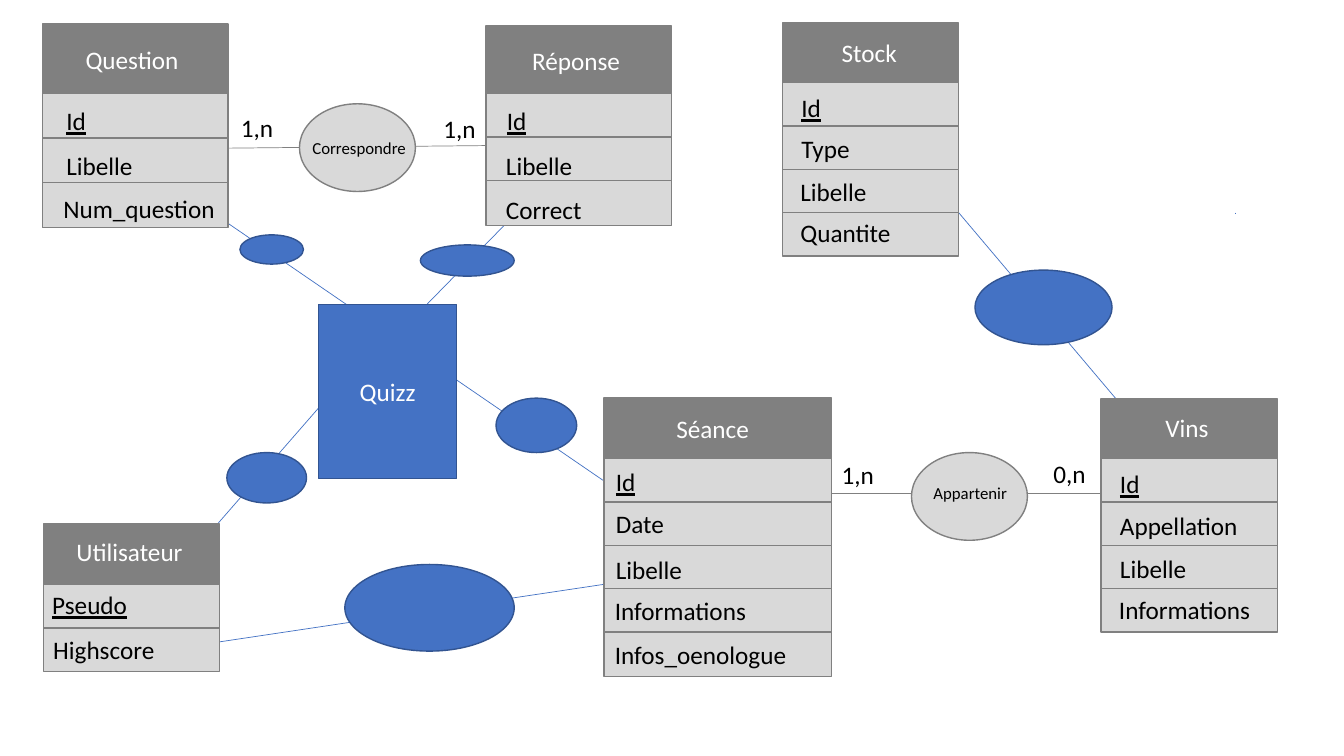
"""Build a data-model slide of quiz, tasting session and wine stock entities."""
from dataclasses import dataclass
from typing import NamedTuple

from lxml import etree
from pptx import Presentation
from pptx import util as u
from pptx.dml.color import RGBColor
from pptx.enum import shapes, text
from pptx.oxml import ns


@dataclass(frozen=True)
class Theme:
    font: str = "Calibri"
    body: int = 18
    small: int = 12
    grey: str = "808080"
    pale: str = "D9D9D9"
    blue: str = "4472C4"
    navy: str = "325491"
    white: str = "FFFFFF"
    black: str = "000000"
    outline: float = 1
    link: float = 0.5


THEME = Theme()


class Box(NamedTuple):
    left: float
    top: float
    width: float
    height: float


class Label(NamedTuple):
    words: str
    left: float
    top: float
    width: float = 2.1
    size: int = THEME.body


class Link(NamedTuple):
    start: tuple[float, float]
    end: tuple[float, float]
    color: str = THEME.blue


@dataclass(frozen=True)
class Entity:
    left: float
    top: float
    width: float
    first_row: float
    row_height: float
    pitch: float
    title: Label
    attributes: list[Label]


ENTITIES = [
    Entity(0.42, 0.24, 1.84, 0.93, 0.45, 0.44, Label("Question", 0.75, 0.39), [
        Label("Id", 0.56, 1), Label("Libelle", 0.56, 1.44), Label("Num_question", 0.53, 1.87)]),
    Entity(4.82, 0.26, 1.84, 0.93, 0.45, 0.43, Label("Réponse", 5.18, 0.4), [
        Label("Id", 4.93, 1), Label("Libelle", 4.92, 1.44), Label("Correct", 4.92, 1.88)]),
    Entity(7.76, 0.23, 1.75, 0.82, 0.43, 0.43, Label("Stock", 8.25, 0.32), [
        Label("Id", 7.85, 0.87), Label("Type", 7.85, 1.27),
        Label("Libelle", 7.84, 1.7), Label("Quantite", 7.84, 2.11)]),
    Entity(5.99, 3.95, 2.26, 4.55, 0.44, 0.43, Label("Séance", 6.61, 4.05), [
        Label("Id", 6.01, 4.58), Label("Date", 6.01, 4.99), Label("Libelle", 6.01, 5.45),
        Label("Informations", 6, 5.86), Label("Infos_oenologue", 6, 6.29)]),
    Entity(10.92, 3.96, 1.75, 4.55, 0.43, 0.43, Label("Vins", 11.46, 4.04), [
        Label("Id", 11.01, 4.6), Label("Appellation", 11.01, 5.01),
        Label("Libelle", 11.01, 5.44), Label("Informations", 11, 5.85)]),
    Entity(0.43, 5.2, 1.75, 5.8, 0.43, 0.43, Label("Utilisateur", 0.66, 5.27), [
        Label("Pseudo", 0.42, 5.8), Label("Highscore", 0.43, 6.24)]),
]
LINKS = [
    Link((3.97, 3.29), (5.3, 1.93)),
    Link((9.23, 1.78), (11.46, 4.42)),
    Link((1.83, 6.42), (7.04, 5.64)),
    Link((2.06, 5.31), (3.82, 3.29)),
    Link((1.83, 1.92), (6.47, 5.1)),
    Link((12.25, 2.11), (12.25, 2.12)),
    Link((7.97, 4.89), (11.3, 4.89), THEME.grey),
    Link((2.27, 1.47), (5.25, 1.44), THEME.grey),
]
NAMED_RELATIONS = [Box(2.97, 1.03, 1.15, 0.87), Box(9.04, 4.49, 1.15, 0.87)]
UNNAMED_RELATIONS = [
    Box(3.42, 5.6, 1.68, 0.86),
    Box(9.67, 2.68, 1.36, 0.74),
    Box(2.38, 2.33, 0.63, 0.29),
    Box(4.17, 2.43, 0.93, 0.31),
    Box(2.25, 4.49, 0.79, 0.5),
    Box(4.92, 3.95, 0.8, 0.54),
]
RELATION_LABELS = [
    Label("Correspondre", 3, 1.32, 1.3, THEME.small),
    Label("Appartenir", 9.16, 4.74, 0.94, THEME.small),
    Label("1,n", 2.29, 1.07, 0.73),
    Label("1,n", 4.3, 1.08, 0.73),
    Label("1,n", 8.25, 4.51, 0.73),
    Label("0,n", 10.35, 4.5, 0.73),
]
QUIZ = Box(3.16, 3.02, 1.37, 1.73)


def add_box(slide, kind, box: Box, fill: str, line: str):
    """Add a filled and outlined preset shape."""
    shape = slide.shapes.add_shape(kind, *map(u.Inches, box))
    shape.shadow.inherit = False
    shape.fill.solid()
    shape.fill.fore_color.rgb = RGBColor.from_string(fill)
    shape.line.color.rgb = RGBColor.from_string(line)
    shape.line.width = u.Pt(THEME.outline)
    return shape


def write(shape, words: str, size: int, color: str, underline: bool = False):
    """Write one line in a shape and return its paragraph."""
    shape.text_frame.word_wrap = True
    paragraph = shape.text_frame.paragraphs[0]
    paragraph.text = words
    font = paragraph.font
    font.name, font.size = THEME.font, u.Pt(size)
    font.color.rgb = RGBColor.from_string(color)
    if underline:
        font.underline = True
        paragraph.runs[0].font.underline = True
    return paragraph


def add_label(slide, label: Label, color: str = THEME.black, underline: bool = False) -> None:
    """Add a text box for a label."""
    height = 0.1 + label.size / 60
    box = Box(label.left, label.top, label.width, height)
    shape = slide.shapes.add_textbox(*map(u.Inches, box))
    write(shape, label.words, label.size, color, underline)


def add_link(slide, link: Link) -> None:
    """Add a thin straight line without a shadow."""
    ends = map(u.Inches, (*link.start, *link.end))
    line = slide.shapes.add_connector(shapes.MSO_CONNECTOR.STRAIGHT, *ends)
    line.line.color.rgb = RGBColor.from_string(link.color)
    line.line.width = u.Pt(THEME.link)
    etree.SubElement(line._element.spPr, ns.qn("a:effectLst"))


def add_entity(slide, entity: Entity) -> None:
    """Add an entity with its title and its attributes, the key underlined."""
    rectangle = shapes.MSO_SHAPE.RECTANGLE
    row_tops = [entity.first_row + entity.pitch * i for i in range(len(entity.attributes))]
    frame = Box(entity.left, entity.top, entity.width, row_tops[-1] - entity.top)
    add_box(slide, rectangle, frame, THEME.grey, THEME.grey)
    for top in row_tops:
        row = Box(entity.left, top, entity.width, entity.row_height)
        add_box(slide, rectangle, row, THEME.pale, THEME.grey)
    add_label(slide, entity.title, THEME.white)
    for index, attribute in enumerate(entity.attributes):
        add_label(slide, attribute, underline=index == 0)


def main() -> None:
    """Draw the slide and save it."""
    presentation = Presentation()
    presentation.slide_width, presentation.slide_height = u.Inches(13.33), u.Inches(7.5)
    slide = presentation.slides.add_slide(presentation.slide_layouts[6])
    for link in LINKS:
        add_link(slide, link)
    for entity in ENTITIES:
        add_entity(slide, entity)
    for box in NAMED_RELATIONS:
        add_box(slide, shapes.MSO_SHAPE.OVAL, box, THEME.pale, THEME.grey)
    for label in RELATION_LABELS:
        add_label(slide, label)
    quiz = add_box(slide, shapes.MSO_SHAPE.RECTANGLE, QUIZ, THEME.blue, THEME.navy)
    quiz.text_frame.vertical_anchor = text.MSO_ANCHOR.MIDDLE
    write(quiz, "Quizz", THEME.body, THEME.white).alignment = text.PP_ALIGN.CENTER
    for box in UNNAMED_RELATIONS:
        add_box(slide, shapes.MSO_SHAPE.OVAL, box, THEME.blue, THEME.navy)
    presentation.save("out.pptx")


main()
